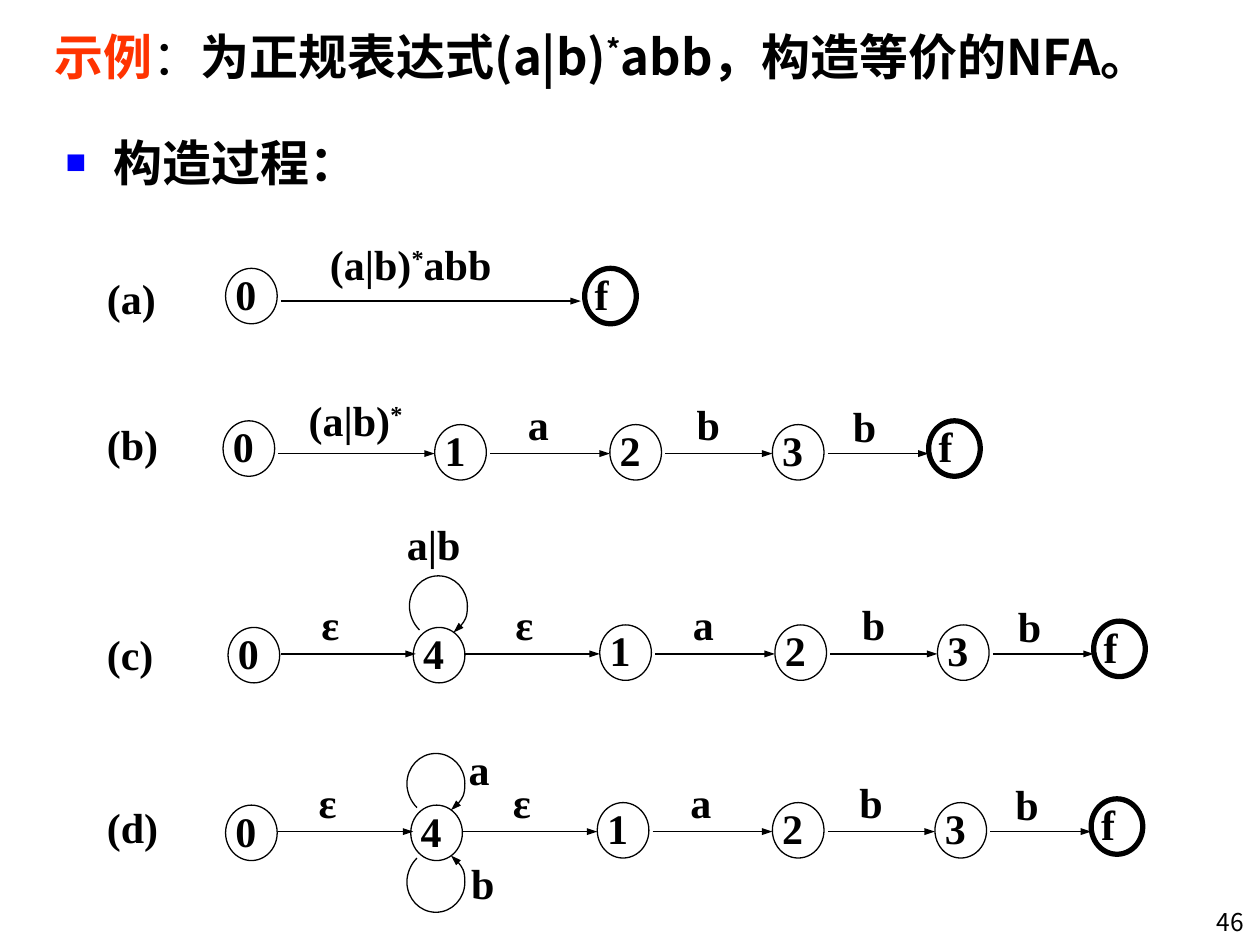
from lxml.etree import SubElement
from pptx import Presentation
from pptx.dml.color import RGBColor
from pptx.enum.shapes import MSO_CONNECTOR, MSO_SHAPE
from pptx.enum.text import MSO_ANCHOR, PP_ALIGN
from pptx.oxml.ns import qn
from pptx.util import Inches, Pt

HEADING_FONT = "Noto Sans CJK SC"
DIAGRAM_FONT = "Times New Roman"
INK, ACCENT, BULLET = "000000", "FF3300", "0000FF"
SPACE = 0.08
# Start point of a self-loop, then three Bézier points for each of its four curves
LOOP_POINTS = (
    (-0.15, 0.19),
    (-0.2, 0.14), (-0.23, 0.07), (-0.23, 0),
    (-0.23, -0.13), (-0.13, -0.24), (0, -0.24),
    (0.13, -0.24), (0.23, -0.13), (0.23, 0),
    (0.23, 0.09), (0.19, 0.16), (0.12, 0.21),
)


def color(value):
    return RGBColor.from_string(value)


def bend_segments(curve):
    """Turn every three straight segments of a freeform into one Bézier curve."""
    outline = curve._element.spPr.find(".//" + qn("a:path"))
    segments = outline.findall(qn("a:lnTo"))
    for first in range(0, len(segments), 3):
        bend = SubElement(outline, qn("a:cubicBezTo"))
        for segment in segments[first:first + 3]:
            bend.append(segment[0])
            outline.remove(segment)


class Automata:
    """Holds the slide, the group being filled and the drawing style."""

    def __init__(self, slide):
        self.slide = slide
        self.shapes = slide.shapes

    def start_group(self):
        self.shapes = self.slide.shapes.add_group_shape().shapes

    def format_run(self, run, font, size, ink=INK, bold=True, raised=False):
        run.font.name = font
        run.font.size = Pt(size)
        run.font.bold = bold
        run.font.color.rgb = color(ink)
        properties = run.font._element
        SubElement(properties, qn("a:ea"), typeface=font)
        if raised:
            properties.set("baseline", "30000")

    def place(self, placeholder, x, y, width, height):
        placeholder.left, placeholder.top = Inches(x), Inches(y)
        placeholder.width, placeholder.height = Inches(width), Inches(height)

    def title(self, parts):
        """parts: (text, ink, bold, raised) for each run."""
        heading = self.slide.shapes.title
        self.place(heading, 0.33, 0.17, 9.42, 0.55)
        heading.text_frame.vertical_anchor = MSO_ANCHOR.MIDDLE
        paragraph = heading.text_frame.paragraphs[0]
        paragraph.alignment = PP_ALIGN.LEFT
        for text, ink, bold, raised in parts:
            run = paragraph.add_run()
            run.text = text
            self.format_run(run, HEADING_FONT, 28, ink, bold, raised)

    def body(self, text):
        outline = self.slide.placeholders[1]
        self.place(outline, 0.42, 1, 9.12, 0.67)
        outline.text_frame.text = text
        paragraph = outline.text_frame.paragraphs[0]
        self.format_run(paragraph.runs[0], HEADING_FONT, 28)
        properties = paragraph._p.get_or_add_pPr()
        properties.set("marL", str(Inches(0.38)))
        properties.set("indent", str(-Inches(0.38)))
        bullet_color = SubElement(properties, qn("a:buClr"))
        SubElement(bullet_color, qn("a:srgbClr"), val=BULLET)
        SubElement(properties, qn("a:buSzPct"), val="70000")
        SubElement(properties, qn("a:buChar"), char="■")

    def page_number(self, text):
        box = self.slide.shapes.add_textbox(Inches(9.18), Inches(7.15), Inches(0.79), Inches(0.3))
        box.text_frame.word_wrap = True
        box.text_frame.text = text
        paragraph = box.text_frame.paragraphs[0]
        paragraph.alignment = PP_ALIGN.RIGHT
        self.format_run(paragraph.runs[0], HEADING_FONT, 14, bold=False)

    def label(self, text, x, y, width=0.54, height=0.57, indent=0.0):
        """Write a label, raising its asterisk."""
        box = self.shapes.add_textbox(Inches(x), Inches(y), Inches(width), Inches(height))
        frame = box.text_frame
        frame.word_wrap = True
        frame.margin_left = Inches(0.1 + indent)
        paragraph = frame.paragraphs[0]
        paragraph.alignment = PP_ALIGN.JUSTIFY
        for part in filter(None, text.partition("*")):
            run = paragraph.add_run()
            run.text = part
            self.format_run(run, DIAGRAM_FONT, 24, raised=part == "*")

    def outline(self, shape, width=0.75):
        shape.shadow.inherit = False
        shape.fill.background()
        shape.line.color.rgb = color(INK)
        shape.line.width = Pt(width)

    def add_arrowhead(self, shape):
        line = shape._element.spPr.find(qn("a:ln"))
        SubElement(line, qn("a:tailEnd"), type="triangle", w="sm", len="med")

    def state(self, name, x, y):
        circle = self.shapes.add_shape(
            MSO_SHAPE.OVAL, Inches(x), Inches(y), Inches(0.41), Inches(0.44))
        self.outline(circle, 3 if name == "f" else 0.75)
        self.label(name, x - 0.02, y - 0.05, 0.51, 0.52)

    def arrow(self, start, end, y):
        edge = self.shapes.add_connector(
            MSO_CONNECTOR.STRAIGHT, Inches(start), Inches(y), Inches(end), Inches(y))
        edge.line.color.rgb = color(INK)
        edge.line.width = Pt(0.75)
        self.add_arrowhead(edge)
        SubElement(edge._element.spPr, qn("a:effectLst"))

    def loop(self, x, y, side=1):
        """Draw a self-loop around a centre; side is 1 above the state, -1 below."""
        points = [(Inches(x + dx), Inches(y + side * dy)) for dx, dy in LOOP_POINTS]
        builder = self.shapes.build_freeform(*points[0])
        builder.add_line_segments(points[1:], close=False)
        curve = builder.convert_to_shape()
        bend_segments(curve)
        self.outline(curve)
        self.add_arrowhead(curve)

    def abb_chain(self, x, y):
        """Draw states 1, 2, 3 and f, with state 1 at x, y."""
        for name, dx, dy in (("1", 0, 0), ("2", 1.39, 0), ("3", 2.68, 0), ("f", 3.92, -0.03)):
            self.state(name, x + dx, y + dy)
        for start, end in ((0.44, 1.39), (1.83, 2.68), (3.12, 3.92)):
            self.arrow(x + start, x + end, y + 0.23)
        for symbol, dx, dy, indent in (
                ("a", 0.56, -0.26, SPACE), ("b", 1.9, -0.26, SPACE), ("b", 3.22, -0.24, 0)):
            self.label(symbol, x + dx, y + dy, indent=indent)

    def epsilon_chain(self, x, y):
        """Draw the automaton with a looping state 4, with state 0 at x, y."""
        self.state("0", x, y)
        self.state("4", x + 1.47, y)
        for start in (0.42, 1.88):
            self.arrow(x + start, x + start + 1.07, y + 0.21)
        for dx in (0.56, 2.1):
            self.label("ε", x + dx, y - 0.28, indent=SPACE)
        self.loop(x + 1.67, y - 0.17)
        self.abb_chain(x + 2.95, y - 0.02)

    def step(self, name, y):
        self.start_group()
        self.label(name, 0.75, y, 0.95)


def main():
    deck = Presentation()
    deck.slide_width, deck.slide_height = Inches(10), Inches(7.5)
    nfa = Automata(deck.slides.add_slide(deck.slide_layouts[1]))

    nfa.title([("示例", ACCENT, True, False), ("：", INK, False, False),
               ("为正规表达式(a|b)", INK, True, False), ("*", INK, True, True),
               ("abb，构造等价的NFA。", INK, True, False)])
    nfa.body("构造过程：")

    nfa.step("(a)", 2.11)
    nfa.state("0", 1.79, 2.13)
    nfa.state("f", 4.64, 2.13)
    nfa.arrow(2.23, 4.61, 2.39)
    nfa.label("(a|b)*abb", 2.52, 1.84, 1.75)

    nfa.step("(b)", 3.27)
    nfa.state("0", 1.77, 3.34)
    nfa.arrow(2.21, 3.45, 3.6)
    nfa.label("(a|b)*", 2.19, 3.08, 1.17, indent=2 * SPACE)
    nfa.abb_chain(3.45, 3.37)

    nfa.step("(c)", 4.94)
    nfa.epsilon_chain(1.81, 4.98)
    nfa.label("a|b", 3.13, 4.07, 0.95)

    nfa.step("(d)", 6.31)
    nfa.epsilon_chain(1.79, 6.39)
    nfa.label("a", 3.62, 5.85, 0.68)
    nfa.loop(3.46, 7, side=-1)
    nfa.label("b", 3.64, 6.76, 0.71)

    nfa.page_number("46")
    deck.save("out.pptx")


if __name__ == "__main__":
    main()
